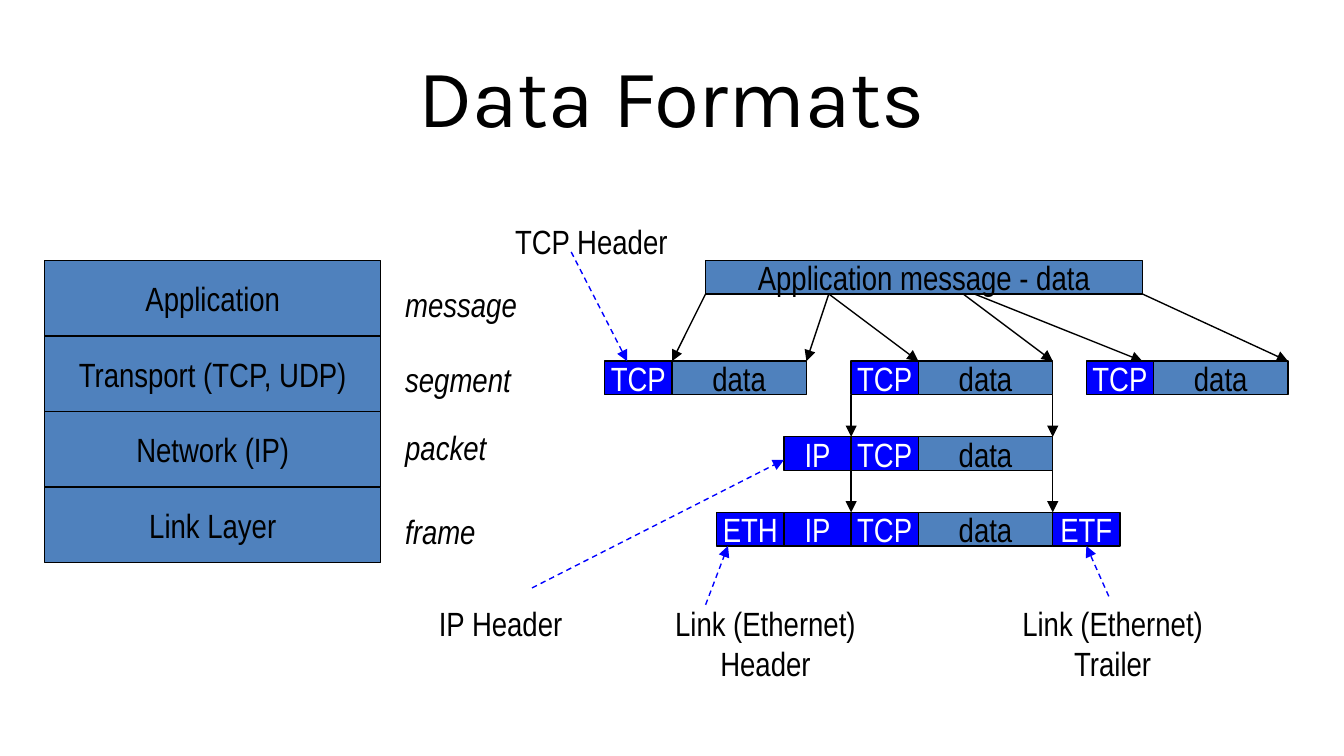
import pptx
import pptx.dml.color
import pptx.enum.dml
import pptx.enum.shapes
import pptx.enum.text
import pptx.oxml
import pptx.oxml.ns
import pptx.util

BLACK, WHITE, BLUE, STEEL = "000000", "FFFFFF", "0000FF", "4F81BD"
CENTER = pptx.enum.text.PP_ALIGN.CENTER
LEFT = pptx.enum.text.PP_ALIGN.LEFT
MIDDLE = pptx.enum.text.MSO_ANCHOR.MIDDLE
color = pptx.dml.color.RGBColor.from_string

# Grid: 120 columns by 90 rows
deck = pptx.Presentation()
deck.slide_width = pptx.util.Inches(10)
deck.slide_height = pptx.util.Inches(5.625)
column = deck.slide_width / 120
row = deck.slide_height / 90
page = deck.slides.add_slide(deck.slide_layouts[5])


def grid(x, y, x2, y2):
    return int(x * column), int(y * row), int(x2 * column), int(y2 * row)


def write(box, text, ink, size=18, font="Arial Narrow", align=CENTER, italic=False):
    box.text_frame.text = text
    for para in box.text_frame.paragraphs:
        para.alignment = align
        for span in para.runs:
            span.font.name = font
            span.font.size = pptx.util.Pt(size)
            span.font.italic = italic
            span.font.color.rgb = color(ink)


# Title
title = page.shapes.title
title.left, title.top, title.width, title.height = grid(6, 3.75, 108, 15)
title.text_frame.vertical_anchor = MIDDLE
write(title, "Data Formats", BLACK, size=44, font="Karla")

# Blocks: text, left, top, width, height, fill
layers = ["Application", "Transport (TCP, UDP)", "Network (IP)", "Link Layer"]
blocks = [(layer, 4, 31 + 9 * i, 30, 9, STEEL) for i, layer in enumerate(layers)]
blocks.append(("Application message - data", 63, 31, 39, 4, STEEL))

# Each unit is a run of headers, data and perhaps a trailer, set side by side
units = [
    (54, 43, ["TCP", "data"]),
    (76, 43, ["TCP", "data"]),
    (97, 43, ["TCP", "data"]),
    (70, 52, ["IP", "TCP", "data"]),
    (64, 61, ["ETH", "IP", "TCP", "data", "ETF"]),
]
for x, y, parts in units:
    for part in parts:
        width, fill = (12, STEEL) if part == "data" else (6, BLUE)
        blocks.append((part, x, y, width, 4, fill))
        x += width

for text, x, y, width, height, fill in blocks:
    block = page.shapes.add_shape(
        pptx.enum.shapes.MSO_SHAPE.RECTANGLE, *grid(x, y, width, height))
    block.shadow.inherit = False
    block.fill.solid()
    block.fill.fore_color.rgb = color(fill)
    block.line.color.rgb = color(BLACK)
    block.line.width = pptx.util.Pt(0.75)
    block.text_frame.word_wrap = False
    block.text_frame.vertical_anchor = MIDDLE
    write(block, text, WHITE if fill == BLUE else BLACK)

# Labels: text, left, top, width, height, alignment, italic
labels = [
    ("message", 35, 33, 12.5, 6.4, LEFT, True),
    ("segment", 35, 42, 12.7, 6.4, LEFT, True),
    ("packet", 35, 50, 9.7, 6.4, LEFT, True),
    ("frame", 35, 60, 8.8, 6.4, LEFT, True),
    ("TCP Header", 44.8, 25.5, 16.2, 6.4, LEFT, False),
    ("IP Header", 38, 71, 13.6, 6.4, LEFT, False),
    ("Link (Ethernet)\nHeader", 59, 71, 18.7, 11.4, CENTER, False),
    ("Link (Ethernet)\nTrailer", 90, 71, 18.7, 11.4, CENTER, False),
]
for text, x, y, width, height, align, italic in labels:
    label = page.shapes.add_textbox(*grid(x, y, width, height))
    label.text_frame.word_wrap = False
    label.text_frame.auto_size = pptx.enum.text.MSO_AUTO_SIZE.SHAPE_TO_FIT_TEXT
    write(label, text, BLACK, align=align, italic=italic)

# Arrows: message to segments, segment to packet to frame
flows = [(63, 35, 60, 43), (74, 35, 72, 43), (74, 35, 82, 43),
         (86, 35, 94, 43), (87, 35, 102, 43), (102, 35, 115, 43)]
flows += [(x, top, x, bottom) for top, bottom in [(47, 52), (55, 61)] for x in (76, 94)]
# Dashed pointers from labels to headers and trailer
pointers = [(51, 30, 56, 43), (47.5, 70, 70, 54.75), (63, 72, 65, 65), (99, 71, 97, 65)]

for ends in flows + pointers:
    arrow = page.shapes.add_connector(
        pptx.enum.shapes.MSO_CONNECTOR.STRAIGHT, *grid(*ends))
    arrow.line.width = pptx.util.Pt(0.75)
    arrow.line.color.rgb = color(BLUE if ends in pointers else BLACK)
    if ends in pointers:
        arrow.line.dash_style = pptx.enum.dml.MSO_LINE.DASH
    head = pptx.oxml.parse_xml(
        f'<a:tailEnd {pptx.oxml.ns.nsdecls("a")} type="triangle"/>')
    arrow.line._get_or_add_ln().append(head)
    arrow._element.spPr.append(
        pptx.oxml.parse_xml(f'<a:effectLst {pptx.oxml.ns.nsdecls("a")}/>'))

deck.save("out.pptx")
